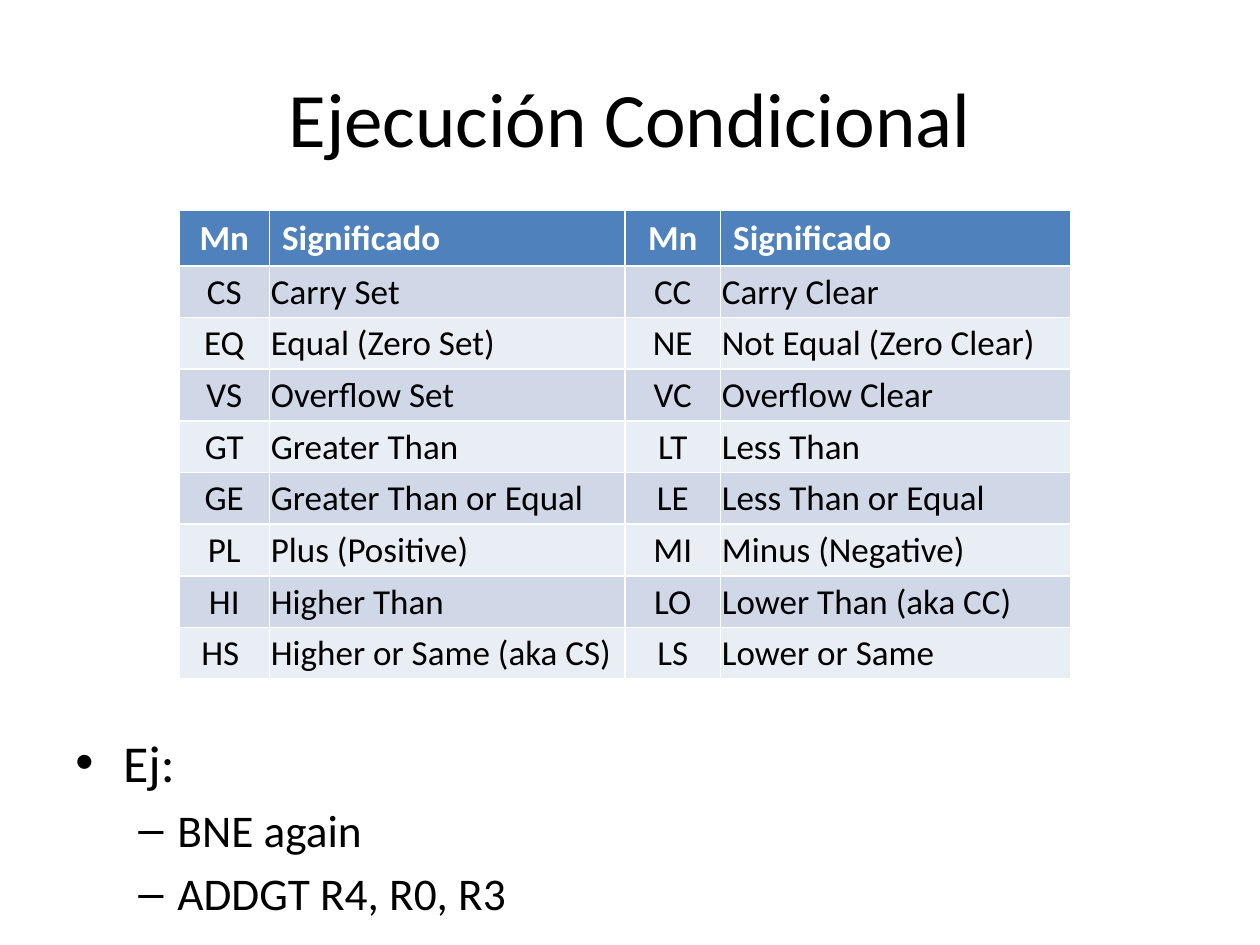
from lxml.etree import SubElement
from pptx import Presentation
from pptx.dml.color import RGBColor
from pptx.enum.text import MSO_ANCHOR, PP_ALIGN
from pptx.oxml.ns import qn
from pptx.util import Inches, Pt

BLACK = RGBColor(0x00, 0x00, 0x00)
WHITE = RGBColor(0xFF, 0xFF, 0xFF)
BLUE = RGBColor(0x4F, 0x81, 0xBD)
BANDS = RGBColor(0xE9, 0xED, 0xF4), RGBColor(0xD0, 0xD8, 0xE8)

TITLE = "Ejecución Condicional"
ROWS = [
    ("Mn", "Significado", "Mn", "Significado"),
    ("CS", "Carry Set", "CC", "Carry Clear"),
    ("EQ", "Equal (Zero Set)", "NE", "Not Equal (Zero Clear)"),
    ("VS", "Overﬂow Set", "VC", "Overﬂow Clear"),
    ("GT", "Greater Than", "LT", "Less Than"),
    ("GE", "Greater Than or Equal", "LE", "Less Than or Equal"),
    ("PL", "Plus (Positive)", "MI", "Minus (Negative)"),
    ("HI", "Higher Than", "LO", "Lower Than (aka CC)"),
    ("HS ", "Higher or Same (aka CS)", "LS", "Lower or Same"),
]
COLS = [0.72, 2.82, 0.76, 2.78]
ROW_H = 0.41
LEVELS = [
    {"size": 29.6, "mark": "•", "left": 0.38, "hang": 0.38},
    {"size": 25.9, "mark": "–", "left": 0.81, "hang": 0.31},
]
ITEMS = [(0, "Ej:"), (1, "BNE again"), (1, "ADDGT R4, R0, R3")]


def write(para, text, size=20, color=BLACK, bold=False, align=PP_ALIGN.LEFT):
    para.alignment = align
    run = para.add_run()
    run.text = text
    font = run.font
    font.name, font.size, font.bold = "Calibri", Pt(size), bold
    font.color.rgb = color


def bullet(para, mark, left, hang):
    props = para._p.get_or_add_pPr()
    props.set("marL", str(Inches(left)))
    props.set("indent", str(-Inches(hang)))
    SubElement(props, qn("a:buFont")).set("typeface", "Arial")
    SubElement(props, qn("a:buChar")).set("char", mark)


def place(shape, *box):
    shape.left, shape.top, shape.width, shape.height = map(Inches, box)


def add_grid(slide):
    size = len(ROWS), len(COLS)
    table = slide.shapes.add_table(
        *size, Inches(1.42), Inches(1.67),
        Inches(sum(COLS)), Inches(ROW_H * len(ROWS))).table
    for col, width in zip(table.columns, COLS):
        col.width = Inches(width)
    for r, row in enumerate(ROWS):
        table.rows[r].height = Inches(ROW_H)
        head = r == 0
        for c, text in enumerate(row):
            cell = table.cell(r, c)
            cell.vertical_anchor = MSO_ANCHOR.MIDDLE
            cell.fill.solid()
            cell.fill.fore_color.rgb = BLUE if head else BANDS[r % 2]
            if not head:
                cell.margin_left = cell.margin_right = Inches(0.01)
                cell.margin_top, cell.margin_bottom = Inches(0.01), 0
            write(cell.text_frame.paragraphs[0], text, bold=head,
                  color=WHITE if head else BLACK,
                  align=PP_ALIGN.LEFT if c % 2 else PP_ALIGN.CENTER)


def add_list(slide):
    box = slide.shapes.add_textbox(0, 0, 0, 0)
    place(box, 0.5, 5.75, 9, 1.42)
    frame = box.text_frame
    frame.word_wrap = True
    for i, (level, text) in enumerate(ITEMS):
        para = frame.paragraphs[0] if i == 0 else frame.add_paragraph()
        look = LEVELS[level]
        para.level = level
        if i:
            para.space_before = Pt(round(look["size"] * 0.2, 1))
        bullet(para, look["mark"], look["left"], look["hang"])
        write(para, text, size=look["size"])


def main():
    deck = Presentation()
    deck.slide_width, deck.slide_height = Inches(10), Inches(7.5)
    slide = deck.slides.add_slide(deck.slide_layouts[5])
    title = slide.shapes.title
    place(title, 0.5, 0.3, 9, 1.25)
    title.text_frame.vertical_anchor = MSO_ANCHOR.MIDDLE
    write(title.text_frame.paragraphs[0], TITLE, size=44, align=PP_ALIGN.CENTER)
    add_grid(slide)
    add_list(slide)
    deck.save("out.pptx")


if __name__ == "__main__":
    main()
